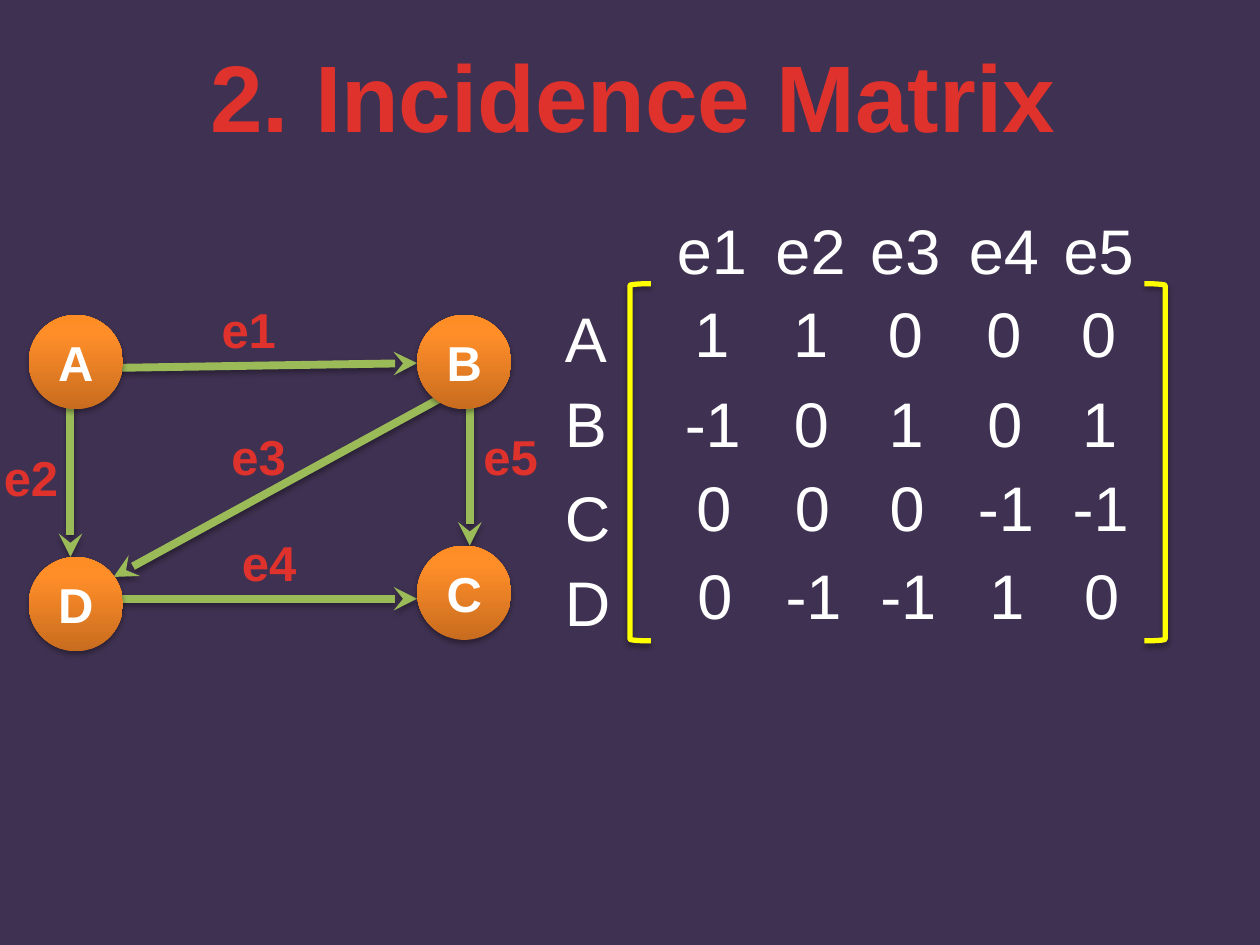
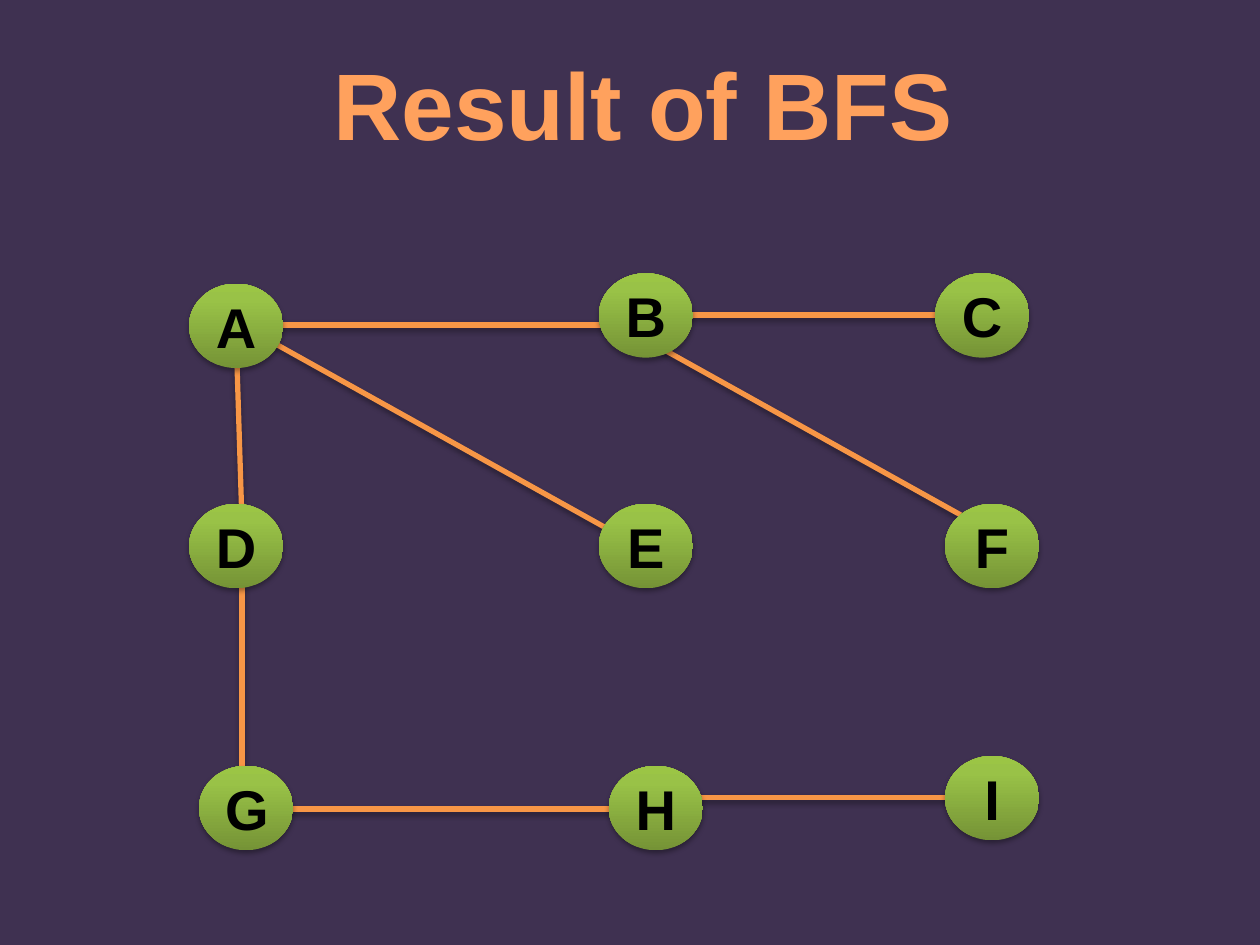
import copy

import pptx
import pptx.dml.color
import pptx.enum.shapes
import pptx.enum.text
import pptx.oxml.ns
import pptx.util
from lxml import etree

Cm = pptx.util.Cm
Pt = pptx.util.Pt
qn = pptx.oxml.ns.qn
KIND = pptx.enum.shapes.MSO_SHAPE
ANCHOR = pptx.enum.text.MSO_ANCHOR
FONT = "Arial"
HEX = {
    "back": "3F3151", "red": "DF322D", "peach": "FFA15D", "white": "FFFFFF",
    "black": "000000", "green": "9BBB59", "orange": "F79646", "yellow": "FFFF00",
}
# Gradient stops of the nodes, from bottom to top
GRADS = {
    "orange": ((0, "C86C1F"), (0.8, "FF8E29"), (1, "FF8D25")),
    "green": ((0, "759336"), (0.8, "99C247"), (1, "9BC545")),
}

# Both graphs: node corners and line ends in cm
DIGRAPH = {
    "nodes": {"A": (0.58, 6.35), "C": (8.41, 11), "B": (8.41, 6.35), "D": (0.58, 11.23)},
    "edges": [
        (8.84, 8.05, 2.29, 11.63), (9.47, 8.05, 9.47, 11),
        (1.42, 8.05, 1.42, 11.23), (2.06, 12.07, 8.41, 12.07),
        (2.06, 7.42, 8.41, 7.32),
    ],
    "size": (1.9, 1.9), "grad": "orange", "ink": "white", "pt": 28,
    "line": "green", "width": 4.5, "arrow": True,
}
TREE = {
    "nodes": {
        "A": (3.81, 5.72), "B": (12.07, 5.51), "C": (18.85, 5.51),
        "D": (3.81, 10.16), "E": (12.07, 10.16), "F": (19.05, 10.16),
        "G": (4.01, 15.44), "H": (12.27, 15.44), "I": (19.05, 15.24),
    },
    "edges": [
        (4.78, 7.42, 4.88, 10.59), (5.28, 6.78, 12.5, 10.8),
        (12.9, 6.78, 20.12, 10.8), (13.34, 16.08, 20.52, 16.08),
        (5.28, 16.31, 12.5, 16.31), (13.34, 6.35, 20.52, 6.35),
        (5.28, 6.55, 12.5, 6.55), (4.88, 11.43, 4.88, 15.88),
    ],
    "size": (1.9, 1.7), "grad": "green", "ink": "black", "pt": 32,
    "line": "orange", "width": 3, "arrow": False,
}
TAGS = {"e1": (4.19, 5.92), "e2": (-0.2, 8.89), "e3": (4.39, 8.48),
        "e4": (4.6, 10.62), "e5": (9.47, 8.48)}

# Incidence matrix: column centres, then rows with label top, cell top, values
HEADS = {"e1": 14.35, "e2": 16.34, "e3": 18.25, "e4": 20.24, "e5": 22.15}
HEAD_TOP = 4.14
LABEL_MID = 11.75
ROWS = {
    "A": (5.92, 5.82, (1, 1, 0, 0, 0)),
    "B": (7.62, 7.62, (-1, 0, 1, 0, 1)),
    "C": (9.53, 9.32, (0, 0, 0, -1, -1)),
    "D": (11.23, 11.1, (0, -1, -1, 1, 0)),
}
DRIFT = 0.02
BRACKETS = ((12.7, False), (23.07, True))


def paint(name):
    return pptx.dml.color.RGBColor.from_string(HEX.get(name, name))


def write(shape, text, pt, ink, bold=True):
    frame = shape.text_frame
    frame.text = text
    frame.word_wrap = True
    para = frame.paragraphs[0]
    para.alignment = pptx.enum.text.PP_ALIGN.CENTER
    font = para.runs[0].font
    font.name, font.size, font.bold = FONT, Pt(pt), bold
    font.color.rgb = paint(ink)


def shade(item):
    """Soft shadow straight below; call after fill and line are set."""
    fx = etree.SubElement(item._element.spPr, qn("a:effectLst"))
    drop = etree.SubElement(fx, qn("a:outerShdw"), blurRad="40000", dist="23000",
                            dir="5400000", rotWithShape="0")
    tint = etree.SubElement(drop, qn("a:srgbClr"), val=HEX["black"])
    etree.SubElement(tint, qn("a:alpha"), val="35000")


def blend(shape, stops):
    shape.fill.gradient()
    shape.fill.gradient_angle = 90
    group = shape._element.spPr.find(".//" + qn("a:gsLst"))
    group.append(copy.deepcopy(group[-1]))
    for stop, (place, tone) in zip(shape.fill.gradient_stops, stops):
        stop.position = place
        stop.color.rgb = paint(tone)


def start(deck, title, ink, box):
    slide = deck.slides.add_slide(deck.slide_layouts[5])
    head = slide.shapes.title
    head.left, head.top, head.width, head.height = map(Cm, box)
    write(head, title, 54, ink)
    head.text_frame.vertical_anchor = ANCHOR.TOP
    head.text_frame.auto_size = pptx.enum.text.MSO_AUTO_SIZE.NONE
    return slide


def graph(slide, data):
    parts = slide.shapes.add_group_shape().shapes
    for ends in data["edges"]:
        edge = parts.add_connector(pptx.enum.shapes.MSO_CONNECTOR.STRAIGHT, *map(Cm, ends))
        edge.line.color.rgb = paint(data["line"])
        edge.line.width = Pt(data["width"])
        if data["arrow"]:
            etree.SubElement(edge._element.spPr.find(qn("a:ln")), qn("a:tailEnd"),
                             type="stealth")
        shade(edge)
    for name, spot in data["nodes"].items():
        node = parts.add_shape(KIND.OVAL, *map(Cm, spot + data["size"]))
        blend(node, GRADS[data["grad"]])
        node.line.fill.background()
        shade(node)
        write(node, name, data["pt"], data["ink"])
        node.text_frame.vertical_anchor = ANCHOR.MIDDLE


def entry(slide, text, mid, top):
    wide = 1.22 if len(text) == 1 else 1.93
    box = slide.shapes.add_textbox(*map(Cm, (mid - wide / 2, top, wide, 1.8)))
    write(box, text, 36, "white", False)


def matrix(slide):
    for name, mid in HEADS.items():
        entry(slide, name, mid, HEAD_TOP)
    for row, (name, (side, top, values)) in enumerate(ROWS.items()):
        entry(slide, name, LABEL_MID, side)
        for mid, value in zip(HEADS.values(), values):
            entry(slide, str(value), mid + row * DRIFT, top)
    for left, flip in BRACKETS:
        edge = slide.shapes.add_shape(KIND.LEFT_BRACKET, *map(Cm, (left, 5.72, 0.42, 7.2)))
        edge.adjustments[0] = 0.083
        edge.fill.background()
        edge.line.color.rgb = paint("yellow")
        edge.line.width = Pt(3)
        shade(edge)
        if flip:
            edge._element.spPr.xfrm.set("flipH", "1")


def main():
    deck = pptx.Presentation()
    deck.slide_width, deck.slide_height = Cm(25.4), Cm(19.05)
    fill = deck.slide_master.background.fill
    fill.solid()
    fill.fore_color.rgb = paint("back")

    # Directed graph and its matrix
    slide = start(deck, "2. Incidence Matrix", "red", (3.73, 0.64, 18.06, 2.57))
    graph(slide, DIGRAPH)
    matrix(slide)
    for name, spot in TAGS.items():
        tag = slide.shapes.add_textbox(*map(Cm, spot + (1.65, 1.45)))
        write(tag, name, 28, "red")

    # Search tree
    slide = start(deck, "Result of BFS", "peach", (6.4, 0.81, 13.13, 2.57))
    graph(slide, TREE)
    deck.save("out.pptx")


if __name__ == "__main__":
    main()
